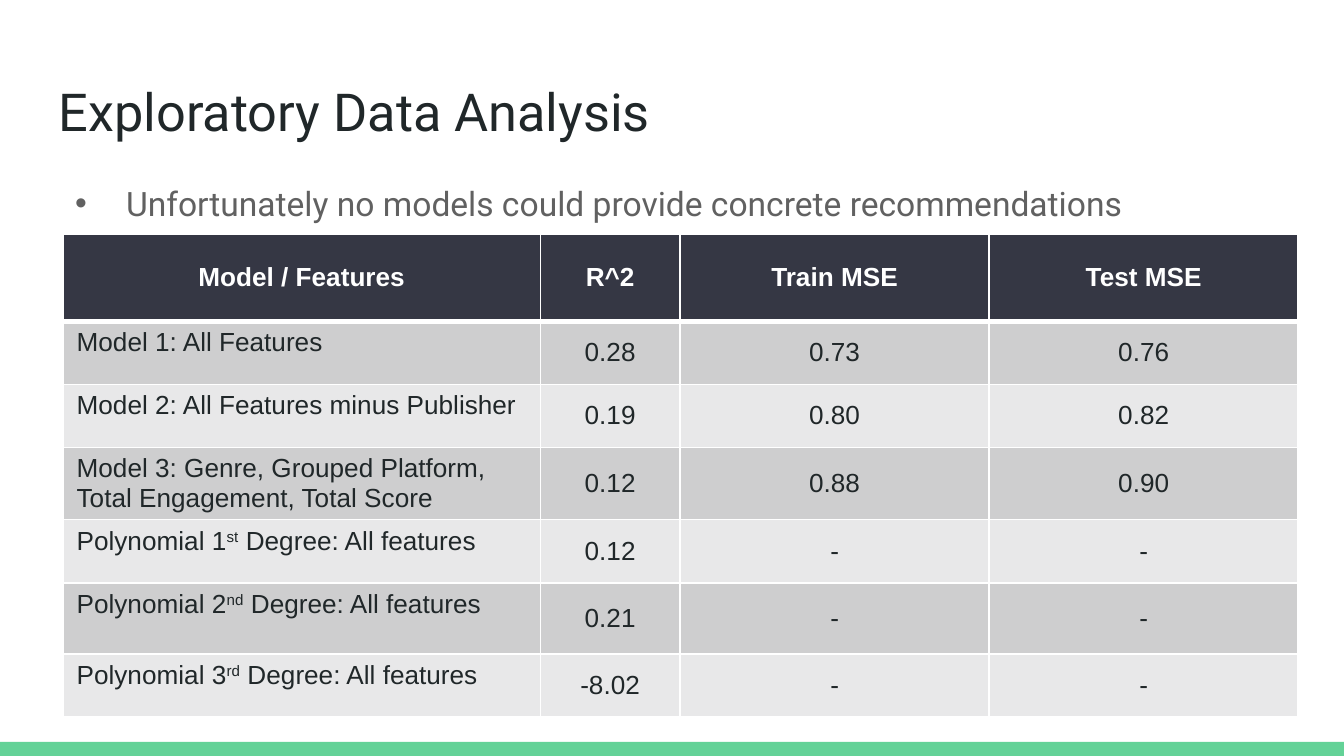
from lxml.etree import SubElement
from pptx import Presentation
from pptx.dml.color import RGBColor
from pptx.enum.shapes import MSO_SHAPE as Shape
from pptx.enum.text import MSO_ANCHOR as Anchor, PP_ALIGN as Align
from pptx.oxml.ns import qn
from pptx.util import Inches, Pt

COLORS = {
    "green": "63D297",
    "ink": "202729",
    "gray": "616161",
    "white": "FFFFFF",
    "header": "353744",
    "dark_band": "CECECF",
    "light_band": "E8E8E9",
}

HEADER = ["Model / Features", "R^2", "Train MSE", "Test MSE"]
# Each first cell is a list of pieces; every second piece is superscript
RESULTS = [
    [["Model 1: All Features"], "0.28", "0.73", "0.76"],
    [["Model 2: All Features minus Publisher"], "0.19", "0.80", "0.82"],
    [["Model 3: Genre, Grouped Platform, Total Engagement, Total Score"],
     "0.12", "0.88", "0.90"],
    [["Polynomial 1", "st", " Degree: All features"], "0.12", "-", "-"],
    [["Polynomial 2", "nd", " Degree: All features"], "0.21", "-", "-"],
    [["Polynomial 3", "rd", " Degree: All features"], "-8.02", "-", "-"],
]
COLUMN_WIDTHS = [3.55, 1.04, 2.3, 2.3]
ROW_HEIGHTS = [0.65, 0.47, 0.47, 0.53, 0.47, 0.53, 0.47]


class SlideBuilder:
    heading_font = "Roboto"
    table_font = "Arial"
    table_size = 14

    def __init__(self, slide):
        self.slide = slide

    def color(self, name):
        return RGBColor.from_string(COLORS[name])

    def style(self, paragraph, font_name, size, color, bold=False):
        font = paragraph.font
        font.name, font.size, font.bold = font_name, Pt(size), bold
        font.color.rgb = self.color(color)

    def bar(self, left, top, width, height, color):
        shape = self.slide.shapes.add_shape(
            Shape.RECTANGLE, Inches(left), Inches(top), Inches(width), Inches(height))
        shape.shadow.inherit = False
        shape.fill.solid()
        shape.fill.fore_color.rgb = self.color(color)
        shape.line.fill.background()

    def text(self, left, top, width, height, text, size, color):
        box = self.slide.shapes.add_textbox(
            Inches(left), Inches(top), Inches(width), Inches(height))
        frame = box.text_frame
        frame.word_wrap = True
        frame.margin_left = frame.margin_right = Inches(0.1)
        frame.margin_top = frame.margin_bottom = Inches(0.1)
        paragraph = frame.paragraphs[0]
        paragraph.text = text
        self.style(paragraph, self.heading_font, size, color)
        return paragraph

    def bullet(self, paragraph, color):
        properties = paragraph._p.get_or_add_pPr()
        properties.set("marL", str(Inches(0.5)))
        properties.set("indent", str(Inches(-0.38)))
        bullet_color = SubElement(properties, qn("a:buClr"))
        SubElement(bullet_color, qn("a:srgbClr"), val=COLORS[color])
        SubElement(properties, qn("a:buFont"), typeface="Arial")
        SubElement(properties, qn("a:buChar"), char="•")
        # The schema wants the default run style after the bullet
        properties.append(properties.find(qn("a:defRPr")))

    def borders(self, cell, top, bottom):
        properties = cell._tc.get_or_add_tcPr()
        for side, width in (("L", 1), ("R", 1), ("T", top), ("B", bottom)):
            line = SubElement(properties, qn(f"a:ln{side}"), w=str(Pt(width)))
            fill = SubElement(line, qn("a:solidFill"))
            SubElement(fill, qn("a:srgbClr"), val=COLORS["white"])

    def cell(self, cell, pieces, fill, color, bold, centered):
        paragraph = cell.text_frame.paragraphs[0]
        for index, piece in enumerate(pieces):
            run = paragraph.add_run()
            run.text = piece
            if index % 2:
                run._r.get_or_add_rPr().set("baseline", "30000")
        self.style(paragraph, self.table_font, self.table_size, color, bold)
        if centered:
            paragraph.alignment = Align.CENTER
            cell.vertical_anchor = Anchor.MIDDLE
        else:
            cell.margin_bottom = Inches(0.02)
        cell.fill.solid()
        cell.fill.fore_color.rgb = self.color(fill)

    def table(self, left, top, header, results, widths, heights):
        rows = [header] + results
        table = self.slide.shapes.add_table(
            len(rows), len(header), Inches(left), Inches(top),
            Inches(sum(widths)), Inches(sum(heights))).table
        for column, width in zip(table.columns, widths):
            column.width = Inches(width)
        for row, height in zip(table.rows, heights):
            row.height = Inches(height)
        for i, values in enumerate(rows):
            is_header = i == 0
            band = "dark_band" if i % 2 else "light_band"
            for j, value in enumerate(values):
                cell = table.cell(i, j)
                self.borders(cell, 3 if i == 1 else 1, 3 if is_header else 1)
                self.cell(
                    cell,
                    value if isinstance(value, list) else [value],
                    "header" if is_header else band,
                    "white" if is_header else "ink",
                    is_header,
                    is_header or j > 0)


def main():
    presentation = Presentation()
    presentation.slide_width = Inches(10)
    presentation.slide_height = Inches(10 * 9 / 16)
    builder = SlideBuilder(presentation.slides.add_slide(presentation.slide_layouts[6]))

    # Footer bar
    builder.bar(0, 5.52, 10, 0.11, "green")

    # Title and message
    builder.text(0.34, 0.49, 9.32, 0.63, "Exploratory Data Analysis", 28, "ink")
    message = builder.text(
        0.34, 1.26, 9.32, 3.74,
        "Unfortunately no models could provide concrete recommendations", 18, "gray")
    builder.bullet(message, "gray")

    # Model results
    builder.table(0.47, 1.74, HEADER, RESULTS, COLUMN_WIDTHS, ROW_HEIGHTS)

    presentation.save("out.pptx")


if __name__ == "__main__":
    main()
